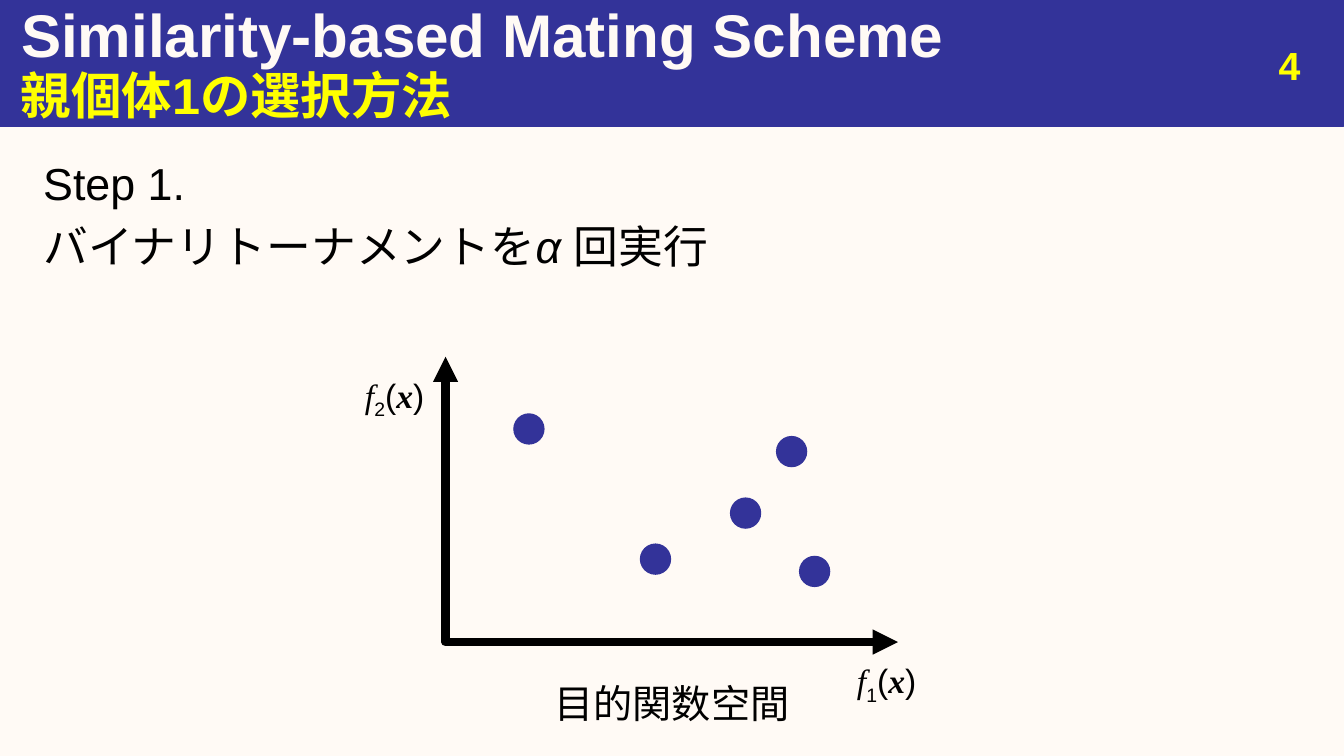
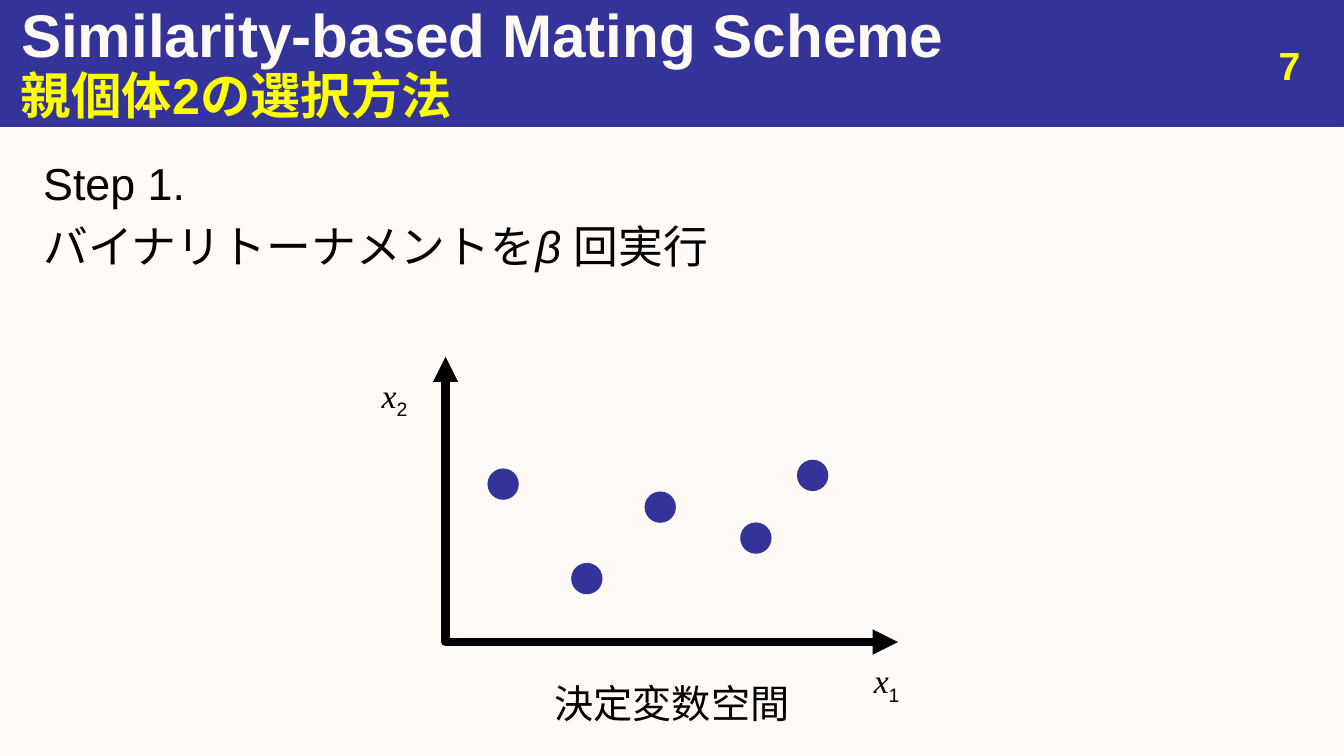
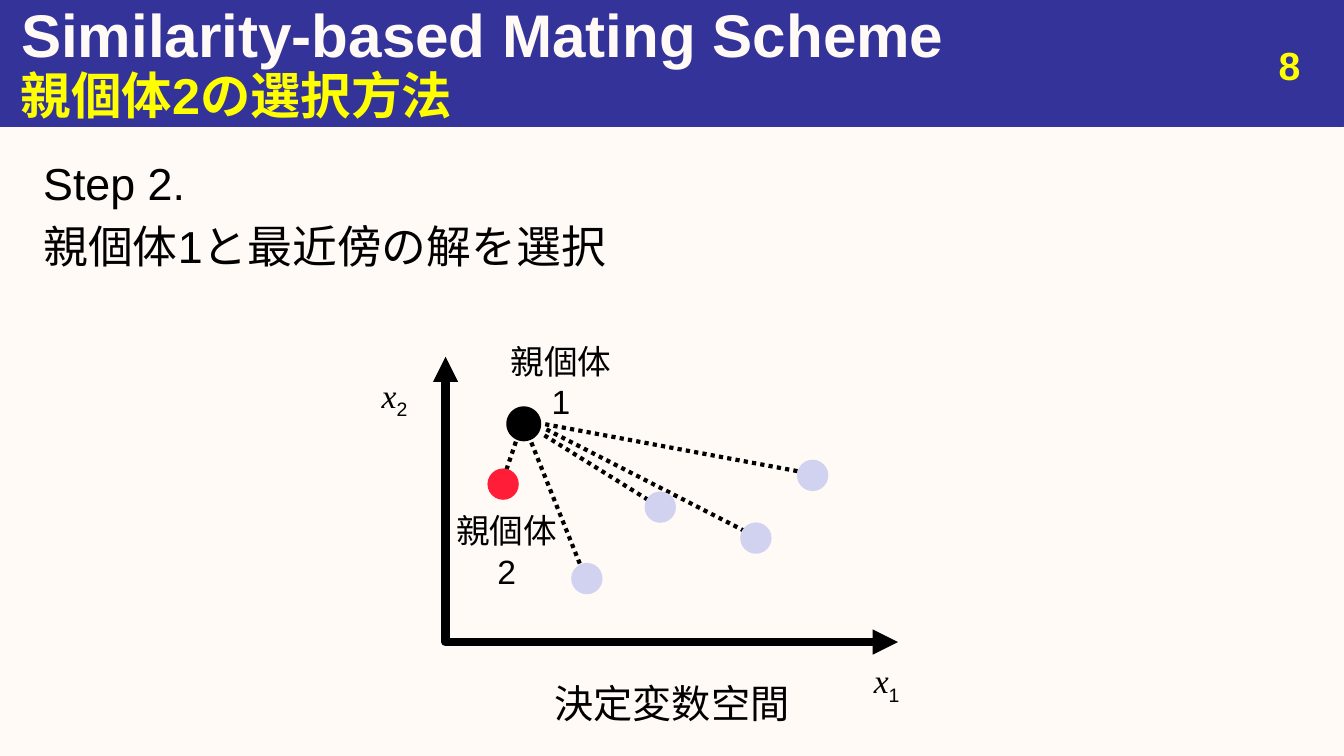
from lxml.etree import SubElement
from pptx import Presentation
from pptx.dml.color import RGBColor
from pptx.enum.dml import MSO_LINE
from pptx.enum.shapes import MSO_CONNECTOR, MSO_SHAPE
from pptx.enum.text import MSO_ANCHOR, MSO_AUTO_SIZE, PP_ALIGN
from pptx.oxml.ns import qn
from pptx.util import Cm, Pt

HUES = {"paper": "FFFAF5", "navy": "333399", "gold": "FFFF00", "ink": "000000",
        "red": "FF1D38", "pale": "D1D1F0"}
HUE = {name: RGBColor.from_string(code) for name, code in HUES.items()}
SERIF = "Times New Roman"


def write(box, lines, size, hue="ink", bold=False, align=PP_ALIGN.LEFT,
          anchor=MSO_ANCHOR.TOP, gap=0):
    frame = box.text_frame
    frame.word_wrap = True
    frame.auto_size = MSO_AUTO_SIZE.NONE
    frame.vertical_anchor = anchor
    for spot, line in enumerate(lines):
        para = frame.add_paragraph() if spot else frame.paragraphs[0]
        para.alignment = align
        para.space_before = Pt(gap)
        font = para.font
        font.name, font.size, font.bold = "Arial", Pt(size), bold
        font.color.rgb = HUE[hue]
        for word, style in line:
            if word == "\n":
                para.add_line_break()
                continue
            run = para.add_run()
            run.text = word
            if style in ("var", "vec"):
                run.font.name = SERIF
            if style in ("var", "vec", "slant"):
                run.font.italic = True
            if style == "vec":
                run.font.bold = True
            if style == "sub":
                run._r.get_or_add_rPr().set("baseline", "-25000")


def draw_dot(page, x, y, size, hue):
    dot = page.shapes.add_shape(MSO_SHAPE.OVAL, Cm(x - size / 2), Cm(y - size / 2),
                                Cm(size), Cm(size))
    dot.shadow.inherit = False
    dot.fill.solid()
    dot.fill.fore_color.rgb = HUE[hue]
    dot.line.fill.background()
    return dot


GOAL = [(13.33, 10.81), (20.53, 14.4), (19.95, 11.38), (18.79, 12.93), (16.52, 14.09)]
PLAN = [(12.68, 12.2), (20.48, 11.98), (19.05, 13.56), (16.64, 12.78), (14.79, 14.58)]
LINKS = [(13.74, 10.69, 20.57, 11.96), (13.77, 10.82, 19.02, 13.51),
         (13.72, 10.97, 16.66, 12.8), (13.39, 11.15, 14.71, 14.45),
         (13, 11.13, 12.6, 12.32)]
TAIL = [("(", ""), ("x", "vec"), (")", "")]
TOUR = "バイナリトーナメントを"
TALKS = [
    {"num": 4, "child": 1, "step": 1, "text": [(TOUR, ""), ("α ", "slant"), ("回実行", "")],
     "space": "目的関数空間", "sign": "f", "tail": TAIL, "dots": GOAL,
     "hues": ["navy"] * 5, "links": [], "tags": []},
    {"num": 7, "child": 2, "step": 1, "text": [(TOUR, ""), ("β ", "slant"), ("回実行", "")],
     "space": "決定変数空間", "sign": "x", "tail": [], "dots": PLAN,
     "hues": ["navy"] * 5, "links": [], "tags": []},
    {"num": 8, "child": 2, "step": 2, "text": [("親個体1と最近傍の解を選択", "")],
     "space": "決定変数空間", "sign": "x", "tail": [], "dots": PLAN,
     "hues": ["red"] + ["pale"] * 4, "links": LINKS,
     "tags": [("2", 11.23, 12.73, 3.33, 0), ("1", 12.14, 8.46, 3.99, 0.25)]},
]

deck = Presentation()
deck.slide_width, deck.slide_height = Cm(33.87), Cm(19.05)
back = deck.slide_master.background.fill
back.solid()
back.fore_color.rgb = HUE["paper"]
layout = deck.slide_layouts[5]
head = layout.placeholders[0]
head.left, head.top, head.width, head.height = Cm(0.28), Cm(0), Cm(33.58), Cm(1.7)
pages = [deck.slides.add_slide(layout) for talk in TALKS]

band = pages[0].shapes.add_shape(MSO_SHAPE.RECTANGLE, 0, 0, deck.slide_width, Cm(3.18))
band.shadow.inherit = False
band.fill.solid()
band.fill.fore_color.rgb = HUE["navy"]
band.line.color.rgb = HUE["navy"]
band.line.width = Pt(0.75)
band.element.nvSpPr.cNvPr.set("id", "20")
head.element.addprevious(band.element)

for page, talk in zip(pages, TALKS):
    shapes = page.shapes
    title = shapes.title
    title.left, title.top, title.width, title.height = (
        head.left, head.top, head.width, head.height)
    write(title, [[("Similarity-based Mating Scheme", "")]], 43, "paper", True,
          anchor=MSO_ANCHOR.MIDDLE)
    body = shapes.add_textbox(Cm(0.84), Cm(3.81), Cm(32.18), Cm(14.4))
    write(body, [[(f"Step {talk['step']}.", "")], talk["text"]], 32,
          align=PP_ALIGN.JUSTIFY, gap=6.4)
    num = shapes.add_textbox(Cm(25.12), Cm(0.91), Cm(7.9), Cm(1.32))
    write(num, [[(str(talk["num"]), "")]], 28, "gold", True, PP_ALIGN.RIGHT)
    theme = shapes.add_textbox(Cm(0.28), Cm(1.57), Cm(33.58), Cm(1.6))
    write(theme, [[(f"親個体{talk['child']}の選択方法", "")]], 36, "gold", True,
          anchor=MSO_ANCHOR.MIDDLE, gap=7.2)

    for x, y, end, low in talk["links"]:
        link = shapes.add_connector(MSO_CONNECTOR.STRAIGHT, Cm(x), Cm(y), Cm(end), Cm(low))
        link.line.color.rgb = HUE["ink"]
        link.line.width = Pt(3)
        link.line.dash_style = MSO_LINE.ROUND_DOT
        SubElement(link.element.spPr, qn("a:effectLst"))
    for (x, y), hue in zip(talk["dots"], talk["hues"]):
        draw_dot(page, x, y, 0.79, hue)

    path = shapes.build_freeform(Cm(11.23), Cm(8.99))
    path.add_line_segments([(Cm(11.23), Cm(16.18)), (Cm(22.63), Cm(16.18))], close=False)
    axes = path.convert_to_shape()
    axes.shadow.inherit = False
    axes.fill.background()
    axes.line.color.rgb = HUE["ink"]
    axes.line.width = Pt(6)
    stroke = axes.element.spPr.find(qn("a:ln"))
    SubElement(stroke, qn("a:round"))
    for end in ("a:headEnd", "a:tailEnd"):
        SubElement(stroke, qn(end), type="triangle")

    for sub, x, y in (("1", 20.35, 16.51), ("2", 7.95, 9.32)):
        name = shapes.add_textbox(Cm(x), Cm(y), Cm(3.99), Cm(1.27))
        write(name, [[(talk["sign"], "var"), (sub, "sub")] + talk["tail"]], 24,
              align=PP_ALIGN.CENTER)
    space = shapes.add_textbox(Cm(13.39), Cm(16.99), Cm(7.09), Cm(1.45))
    write(space, [[(talk["space"], "")]], 28, align=PP_ALIGN.CENTER)

    if talk["tags"]:
        first = draw_dot(page, 13.2, 10.68, 0.53, "ink")
        first.line.color.rgb = HUE["ink"]
        first.line.width = Pt(10)
    for digit, x, y, wide, inset in talk["tags"]:
        tag = shapes.add_textbox(Cm(x), Cm(y), Cm(wide), Cm(2.31))
        tag.text_frame.margin_left = Cm(inset)
        write(tag, [[("親個体", ""), ("\n", ""), (digit, "")]], 24, align=PP_ALIGN.CENTER)

deck.save("out.pptx")
